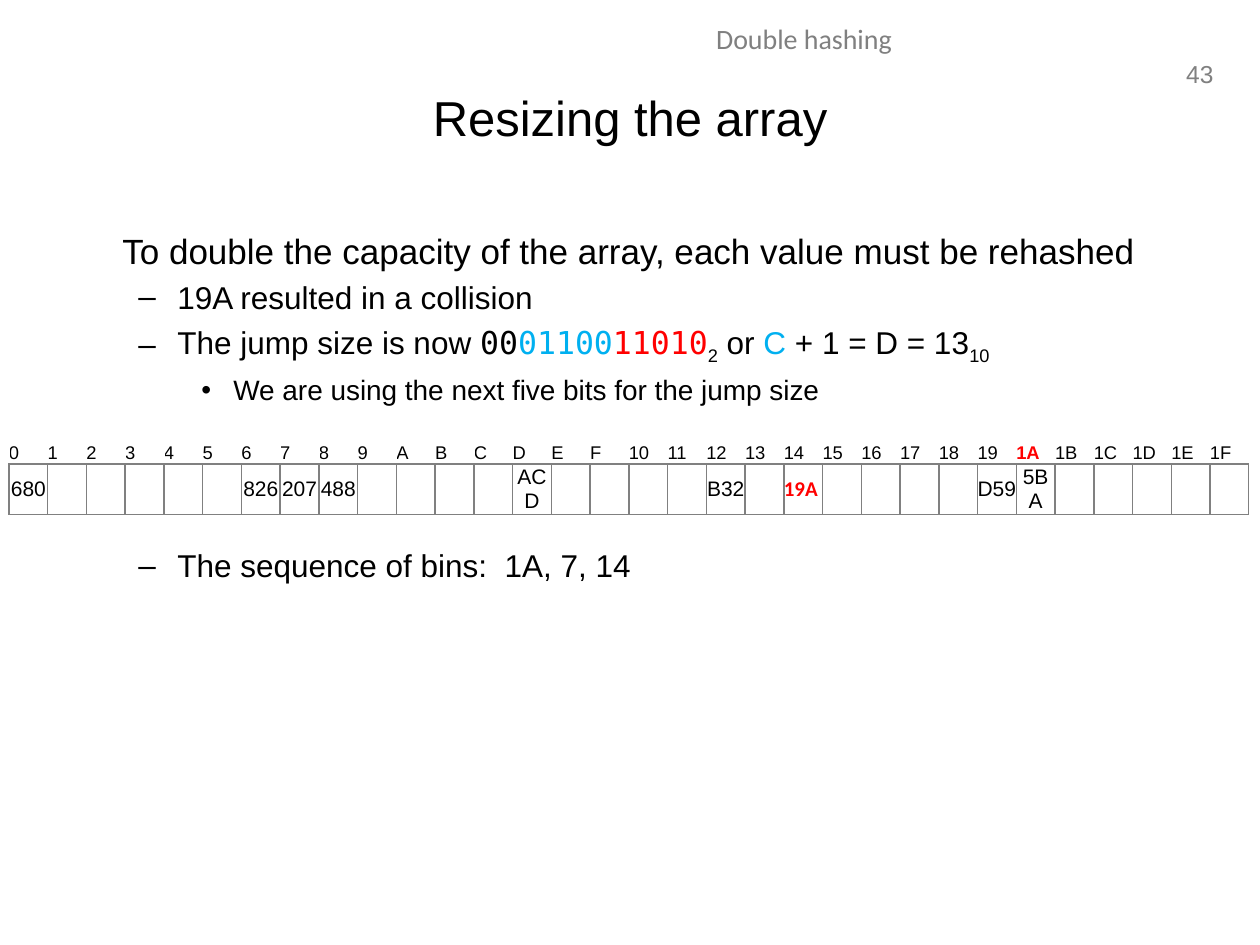
from lxml.etree import SubElement
from pptx import Presentation
from pptx.dml.color import RGBColor
from pptx.enum.text import MSO_ANCHOR, PP_ALIGN
from pptx.oxml.ns import qn
from pptx.util import Emu, Pt

PX = 914400 // 126
BLACK = RGBColor(0x00, 0x00, 0x00)
GRAY = RGBColor(0x80, 0x80, 0x80)
RED = RGBColor(0xFF, 0x00, 0x00)
BLUE = RGBColor(0x00, 0xB0, 0xF0)
SANS, HEADER_FONT, MONO = "Arial", "Calibri", "DejaVu Sans Mono"

BIN_COUNT = 32
HIGHLIGHTED_BIN = 0x1A
MOVED_BIN = 0x14
BINS = {0x0: "680", 0x6: "826", 0x7: "207", 0x8: "488", 0xD: "ACD",
        0x12: "B32", MOVED_BIN: "19A ", 0x19: "D59", 0x1A: "5BA"}

# Bullet, left margin and hanging indent in px, for each level
LEVELS = [(None, 47, 0), ("–", 102, 39), ("•", 158, 32)]

# Level, size, space before in points, runs of (text, font, colour, subscript)
BODY = [
    (0, 20, 0, [("To double the capacity of the array, each value must be rehashed",)]),
    (1, 18, 4, [("19A resulted in a collision",)]),
    (1, 18, 4, [
        ("The jump size is now ",),
        ("00", MONO),
        ("01100", MONO, BLUE),
        ("11010", MONO, RED),
        ("2", SANS, BLACK, True),
        (" or ",),
        ("C", SANS, BLUE),
        (" + 1 = D = 13",),
        ("10", SANS, BLACK, True),
    ]),
    (2, 16, 4, [("We are using the next five bits for the jump size",)]),
    (1, 18, 80, [("The sequence of bins:  1A, 7, 14",)]),
]


def px(count):
    return Emu(count * PX)


def set_font(font, size, name=SANS, color=BLACK, bold=False):
    font.size = Pt(size)
    font.name = name
    font.color.rgb = color
    font.bold = bold


def place(shape, left, top, width, height):
    shape.left, shape.top = px(left), px(top)
    shape.width, shape.height = px(width), px(height)


def add_label(slide, text, bounds, align, size, name, wrap):
    frame = slide.shapes.add_textbox(*map(px, bounds)).text_frame
    frame.word_wrap = wrap
    label = frame.paragraphs[0]
    label.text = text
    label.alignment = align
    set_font(label.font, size, name, GRAY)


def set_level(paragraph, level):
    bullet, margin, hanging = LEVELS[level]
    paragraph.level = level
    properties = paragraph._p.get_or_add_pPr()
    properties.set("marL", str(px(margin)))
    properties.set("indent", str(-px(hanging)))
    if bullet:
        SubElement(properties, qn("a:buFont"), typeface=SANS)
        SubElement(properties, qn("a:buChar"), char=bullet)
    else:
        SubElement(properties, qn("a:buNone"))


def add_run(paragraph, text, name=SANS, color=BLACK, subscript=False):
    run = paragraph.add_run()
    run.text = text
    if name != SANS:
        run.font.name = name
    if color != BLACK:
        run.font.color.rgb = color
    if subscript:
        run._r.get_or_add_rPr().set("baseline", "-25000")


def add_body(slide, bounds):
    frame = slide.shapes.add_textbox(*map(px, bounds)).text_frame
    frame.word_wrap = True
    for index, (level, size, before, runs) in enumerate(BODY):
        paragraph = frame.add_paragraph() if index else frame.paragraphs[0]
        set_level(paragraph, level)
        paragraph.space_before = Pt(before)
        set_font(paragraph.font, size)
        for run in runs:
            add_run(paragraph, *run)


def set_borders(cell, sides):
    properties = cell._tc.get_or_add_tcPr()
    for index, side in enumerate(sides):
        line = properties.makeelement(qn(f"a:ln{side}"), {"w": str(Pt(1))})
        fill = SubElement(line, qn("a:solidFill"))
        SubElement(fill, qn("a:srgbClr"), val=str(GRAY))
        properties.insert(index, line)


def fill_cell(cell, text, align, size, name=SANS, color=BLACK, bold=False):
    cell.margin_left = cell.margin_right = 0
    cell.margin_top = cell.margin_bottom = 0
    cell.vertical_anchor = MSO_ANCHOR.MIDDLE
    cell.fill.background()
    paragraph = cell.text_frame.paragraphs[0]
    paragraph.text = text
    paragraph.alignment = align
    set_font(paragraph.font, size, name, color, bold)


def add_bins(slide, left, top, width, row_heights):
    table = slide.shapes.add_table(2, BIN_COUNT, px(left), px(top), px(width),
                                   px(sum(row_heights))).table
    table.first_row = table.horz_banding = False
    for row, height in zip(table.rows, row_heights):
        row.height = px(height)
    for number in range(BIN_COUNT):
        table.columns[number].width = px(width) // BIN_COUNT
        index_cell, value_cell = table.cell(0, number), table.cell(1, number)

        highlighted = number == HIGHLIGHTED_BIN
        fill_cell(index_cell, f"{number:X}", PP_ALIGN.LEFT, 10.5,
                  color=RED if highlighted else BLACK, bold=highlighted)
        set_borders(index_cell, "B")

        moved = number == MOVED_BIN
        fill_cell(value_cell, BINS.get(number, ""), PP_ALIGN.CENTER, 12,
                  HEADER_FONT if moved else SANS, RED if moved else BLACK, moved)
        set_borders(value_cell, "LRTB")


def main():
    presentation = Presentation()
    presentation.slide_width, presentation.slide_height = px(1260), px(945)
    slide = presentation.slides.add_slide(presentation.slide_layouts[5])

    # Page number and running header
    add_label(slide, "43", (1171, 53, 55, 42), PP_ALIGN.RIGHT, 14, SANS, False)
    add_label(slide, "Double hashing", (402, 15, 804, 50), PP_ALIGN.CENTER,
              16, HEADER_FONT, True)

    # Title
    title = slide.shapes.title
    place(title, 63, 38, 1134, 158)
    title.text_frame.text = "Resizing the array"
    title.text_frame.vertical_anchor = MSO_ANCHOR.MIDDLE
    heading = title.text_frame.paragraphs[0]
    heading.alignment = PP_ALIGN.CENTER
    set_font(heading.font, 28)

    # Explanation and the hash table
    add_body(slide, (63, 223, 1134, 621))
    add_bins(slide, 9, 442, 1241, (20, 28))

    presentation.save("out.pptx")


if __name__ == "__main__":
    main()
